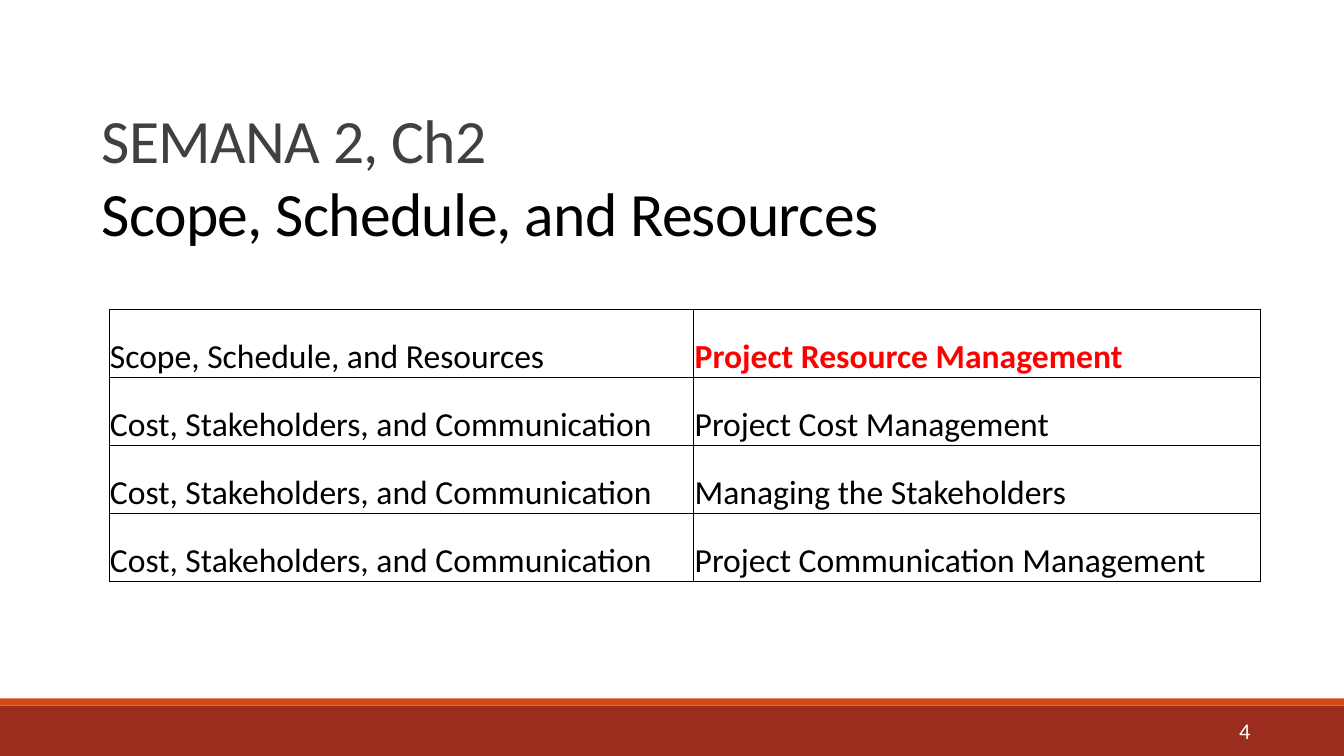
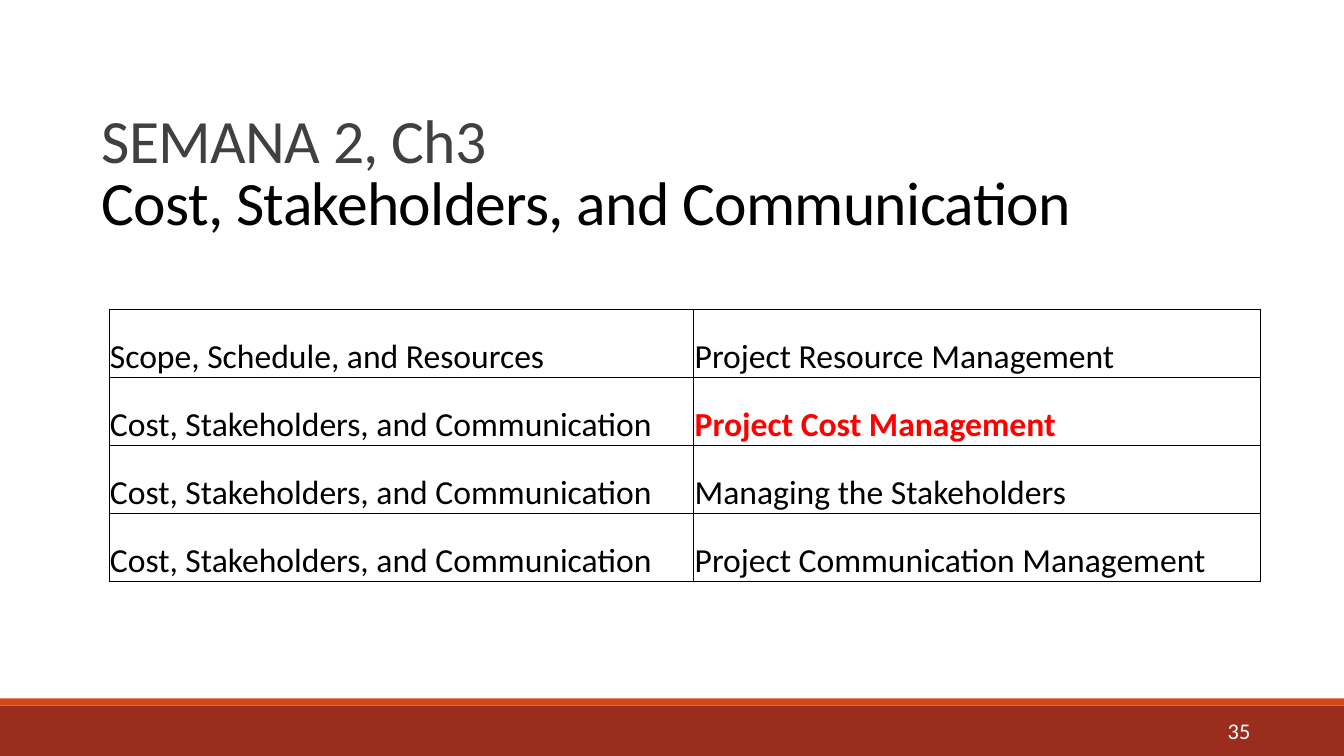
"""Build the two chapter opening slides of a project management course."""
import pptx
import pptx.dml.color
import pptx.enum.shapes
import pptx.enum.text
import pptx.oxml.ns
import pptx.util
from lxml import etree

Inches = pptx.util.Inches
Pt = pptx.util.Pt
RGBColor = pptx.dml.color.RGBColor
Align = pptx.enum.text.PP_ALIGN
Anchor = pptx.enum.text.MSO_ANCHOR

FONT = "Calibri"
BLACK = RGBColor(0x00, 0x00, 0x00)
WHITE = RGBColor(0xFF, 0xFF, 0xFF)
GRAY = RGBColor(0x40, 0x40, 0x40)
RED = RGBColor(0xFF, 0x00, 0x00)
BRICK = RGBColor(0x9B, 0x2D, 0x1F)
ORANGE = RGBColor(0xD3, 0x48, 0x17)

SLIDE_WIDTH = 13.33
COLUMN_WIDTHS = (5.8, 5.62)
TABLE_HEIGHT = 2.7
RESOURCES = "Scope, Schedule, and Resources"
COSTS = "Cost, Stakeholders, and Communication"
TOPICS = (
    (RESOURCES, "Project Resource Management"),
    (COSTS, "Project Cost Management"),
    (COSTS, "Managing the Stakeholders"),
    (COSTS, "Project Communication Management"),
)


def write_text(paragraph, text, size=24, color=BLACK, bold=False,
               align=Align.LEFT, line_spacing=1.0, tracking=0):
    """Write one formatted run into a paragraph."""
    paragraph.alignment = align
    paragraph.line_spacing = line_spacing
    run = paragraph.add_run()
    run.text = text
    run.font.name = FONT
    run.font.size = Pt(size)
    run.font.bold = bold
    run.font.color.rgb = color
    if tracking:
        run.font._element.set("spc", str(round(tracking * 100)))


def add_band(slide, top, height, color):
    """Add a full-width band."""
    band = slide.shapes.add_shape(
        pptx.enum.shapes.MSO_SHAPE.RECTANGLE,
        Inches(0), Inches(top), Inches(SLIDE_WIDTH), Inches(height))
    band.shadow.inherit = False
    band.fill.solid()
    band.fill.fore_color.rgb = color
    band.line.fill.background()


def add_footer(slide, number):
    """Add the footer bands and the slide number."""
    add_band(slide, 7, 0.5, BRICK)
    add_band(slide, 6.93, 0.07, ORANGE)
    box = slide.shapes.add_textbox(
        Inches(0.84), Inches(7.07), Inches(11.66), Inches(0.35))
    frame = box.text_frame
    frame.word_wrap = True
    frame.vertical_anchor = Anchor.MIDDLE
    write_text(frame.paragraphs[0], str(number), size=16, color=WHITE,
               align=Align.RIGHT)


def set_title(slide, chapter, name, name_spacing):
    """Place the title and write its chapter and name lines."""
    title = slide.shapes.title
    title.left, title.top = Inches(0.91), Inches(0.59)
    title.width, title.height = Inches(11.29), Inches(2.03)
    frame = title.text_frame
    frame.auto_size = pptx.enum.text.MSO_AUTO_SIZE.NONE
    frame.vertical_anchor = Anchor.TOP
    write_text(frame.paragraphs[0], chapter, size=44, color=GRAY,
               line_spacing=1.5, tracking=-0.5)
    write_text(frame.add_paragraph(), name, size=44,
               line_spacing=name_spacing, tracking=-0.5)


def add_borders(cell, color=BLACK, width=0.5):
    """Draw a solid line on all four sides of a cell."""
    qn = pptx.oxml.ns.qn
    properties = cell._tc.get_or_add_tcPr()
    for side in ("a:lnL", "a:lnR", "a:lnT", "a:lnB"):
        line = etree.SubElement(properties, qn(side), w=str(Pt(width)))
        fill = etree.SubElement(line, qn("a:solidFill"))
        etree.SubElement(fill, qn("a:srgbClr"), val=str(color))


def fill_cell(cell, text, highlighted):
    """Format a table cell and write its text."""
    add_borders(cell)
    cell.fill.background()
    cell.vertical_anchor = Anchor.BOTTOM
    cell.margin_left = cell.margin_right = cell.margin_top = Inches(0.01)
    cell.margin_bottom = Inches(0)
    write_text(cell.text_frame.paragraphs[0], text, bold=highlighted,
               color=RED if highlighted else BLACK)


def add_topic_table(slide, current_topic):
    """Add the topic table with the current topic highlighted."""
    table = slide.shapes.add_table(
        len(TOPICS), len(COLUMN_WIDTHS), Inches(1.08), Inches(3.07),
        Inches(sum(COLUMN_WIDTHS)), Inches(TABLE_HEIGHT)).table
    table.first_row = False
    table.horz_banding = False
    for column, width in zip(table.columns, COLUMN_WIDTHS):
        column.width = Inches(width)
    for row_index, texts in enumerate(TOPICS):
        for column_index, text in enumerate(texts):
            fill_cell(table.cell(row_index, column_index), text,
                      text == current_topic)


def add_chapter_slide(presentation, number, chapter, name, topic,
                      name_spacing=1.0):
    """Add one chapter opening slide."""
    slide = presentation.slides.add_slide(presentation.slide_layouts[5])
    add_footer(slide, number)
    set_title(slide, chapter, name, name_spacing)
    add_topic_table(slide, topic)


def main():
    """Build and save the presentation."""
    presentation = pptx.Presentation()
    presentation.slide_width = Inches(SLIDE_WIDTH)
    presentation.slide_height = Inches(7.5)
    add_chapter_slide(presentation, 4, "SEMANA 2, Ch2", RESOURCES,
                      "Project Resource Management")
    add_chapter_slide(presentation, 35, "SEMANA 2, Ch3", COSTS,
                      "Project Cost Management", name_spacing=0.85)
    presentation.save("out.pptx")


if __name__ == "__main__":
    main()
